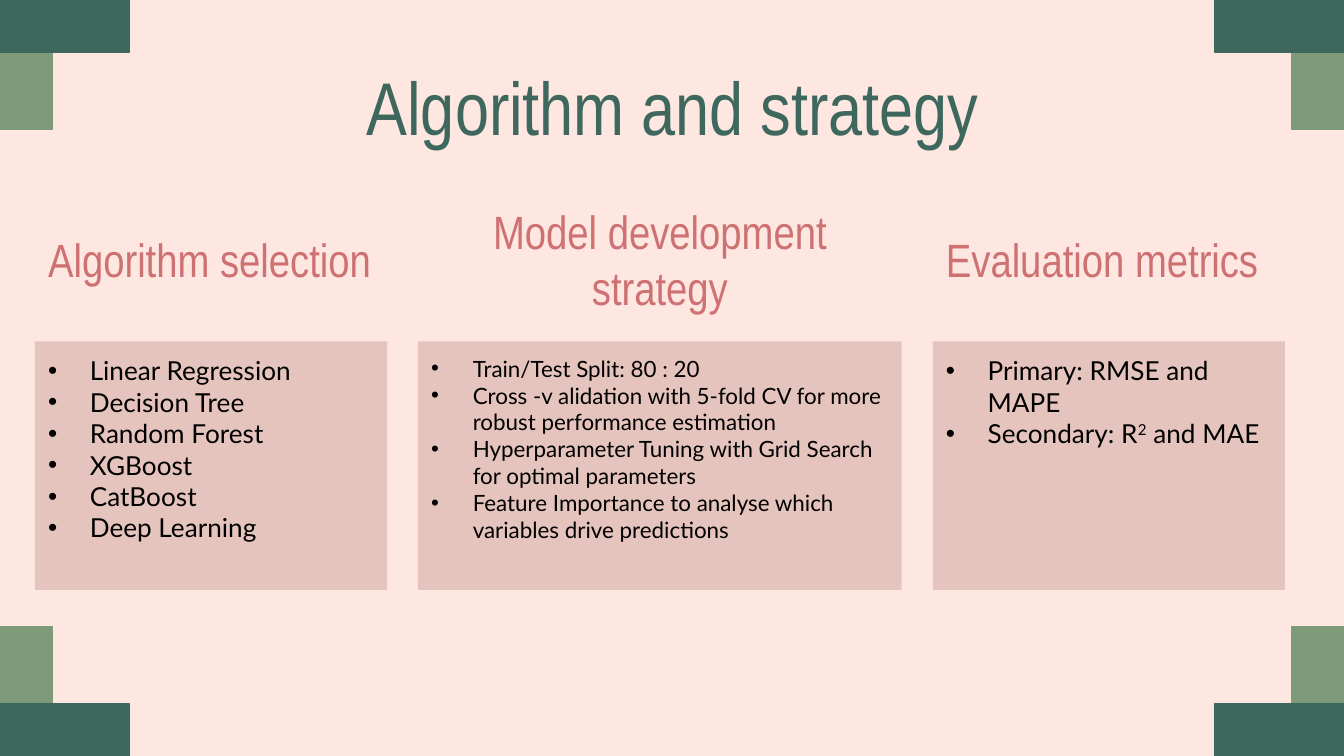
from itertools import product

from lxml import etree
from pptx import Presentation
from pptx.dml.color import RGBColor
from pptx.enum import shapes, text
from pptx.oxml.ns import qn
from pptx.util import Inches, Pt

PINK, ROSE, CORAL = "FFE7E1", "E6C4BE", "CE7173"
GREEN, SAGE, BLACK = "3E675D", "7D9A79", "000000"
HEADING_FONT, BODY_FONT = "Arial Narrow", "Lato"
LEFT, CENTER = text.PP_ALIGN.LEFT, text.PP_ALIGN.CENTER

TITLE = "Algorithm and strategy"
# Text between carets is superscript.
COLUMNS = [
    dict(heading="Algorithm selection", align=LEFT, width=2.62, inset=0, size=14,
         points=["Linear Regression", "Decision Tree", "Random Forest",
                 "XGBoost", "CatBoost", "Deep Learning"]),
    dict(heading="Model development strategy", align=CENTER, width=3.6, inset=0.18, size=12,
         points=["Train/Test Split: 80 : 20",
                 "Cross -v alidation with 5-fold CV for more robust performance estimation",
                 "Hyperparameter Tuning with Grid Search for optimal parameters",
                 "Feature Importance to analyse which variables drive predictions"]),
    dict(heading="Evaluation metrics", align=LEFT, width=2.62, inset=0, size=14,
         points=["Primary: RMSE and MAPE", "Secondary: R^2^ and MAE"]),
]

SLIDE_W = 10
SLIDE_H = SLIDE_W * 9 / 16
CORNER_LONG, CORNER_SHORT = 0.96, 0.39
COLUMN_LEFT, COLUMN_GAP = 0.26, 0.23
HEADING_TOP, HEADING_H = 1.69, 0.47
CARD_TOP, CARD_H = 2.54, 1.85
INDENT = 0.31


def color(value):
    return RGBColor.from_string(value)


def add_block(slide, left, top, width, height, fill, outlined=False):
    block = slide.shapes.add_shape(shapes.MSO_SHAPE.RECTANGLE, Inches(left), Inches(top),
                                   Inches(width), Inches(height))
    block.shadow.inherit = False
    block.fill.solid()
    block.fill.fore_color.rgb = color(fill)
    if outlined:
        block.line.color.rgb = color(fill)
        block.line.width = Pt(0.75)
    else:
        block.line.fill.background()
    return block


def set_frame(frame, anchor):
    frame.word_wrap = True
    frame.vertical_anchor = anchor
    frame.margin_left = frame.margin_right = Inches(0.1)
    frame.margin_top = frame.margin_bottom = Inches(0.1)


def set_font(run, name, size, ink):
    run.font.name = name
    run.font.size = Pt(size)
    run.font.color.rgb = color(ink)


def add_heading(slide, words, left, top, width, height, size, ink, align):
    box = slide.shapes.add_textbox(Inches(left), Inches(top), Inches(width), Inches(height))
    frame = box.text_frame
    set_frame(frame, text.MSO_ANCHOR.MIDDLE)
    frame.text = words
    frame.paragraphs[0].alignment = align
    set_font(frame.paragraphs[0].runs[0], HEADING_FONT, size, ink)


def set_bullet(paragraph):
    props = paragraph._p.get_or_add_pPr()
    props.set("marL", str(Inches(INDENT)))
    props.set("indent", str(-Inches(INDENT)))
    ink = etree.SubElement(props, qn("a:buClr"))
    etree.SubElement(ink, qn("a:srgbClr"), val=BLACK)
    etree.SubElement(props, qn("a:buFont"), typeface="Arial")
    etree.SubElement(props, qn("a:buChar"), char="•")


def add_points(card, points, size):
    frame = card.text_frame
    set_frame(frame, text.MSO_ANCHOR.TOP)
    for i, point in enumerate(points):
        paragraph = frame.add_paragraph() if i else frame.paragraphs[0]
        paragraph.alignment = LEFT
        set_bullet(paragraph)
        for j, part in enumerate(point.split("^")):
            run = paragraph.add_run()
            run.text = part
            set_font(run, BODY_FONT, size, BLACK)
            if j % 2:
                run.font._element.set("baseline", "30000")


def add_corners(slide):
    for right, bottom in product((False, True), repeat=2):
        for width, height, fill in ((CORNER_SHORT, CORNER_LONG, SAGE),
                                    (CORNER_LONG, CORNER_SHORT, GREEN)):
            add_block(slide, right * (SLIDE_W - width), bottom * (SLIDE_H - height),
                      width, height, fill, outlined=True)


def main():
    deck = Presentation()
    deck.slide_width, deck.slide_height = Inches(SLIDE_W), Inches(SLIDE_H)
    slide = deck.slides.add_slide(deck.slide_layouts[6])
    slide.background.fill.solid()
    slide.background.fill.fore_color.rgb = color(PINK)

    add_corners(slide)
    add_heading(slide, TITLE, 0.79, 0.52, 8.43, 0.53, 40, GREEN, CENTER)

    left = COLUMN_LEFT
    for column in COLUMNS:
        width, inset = column["width"], column["inset"]
        add_heading(slide, column["heading"], left + inset, HEADING_TOP,
                    width - 2 * inset, HEADING_H, 25, CORAL, column["align"])
        card = add_block(slide, left, CARD_TOP, width, CARD_H, ROSE)
        add_points(card, column["points"], column["size"])
        left += width + COLUMN_GAP

    deck.save("out.pptx")


if __name__ == "__main__":
    main()
